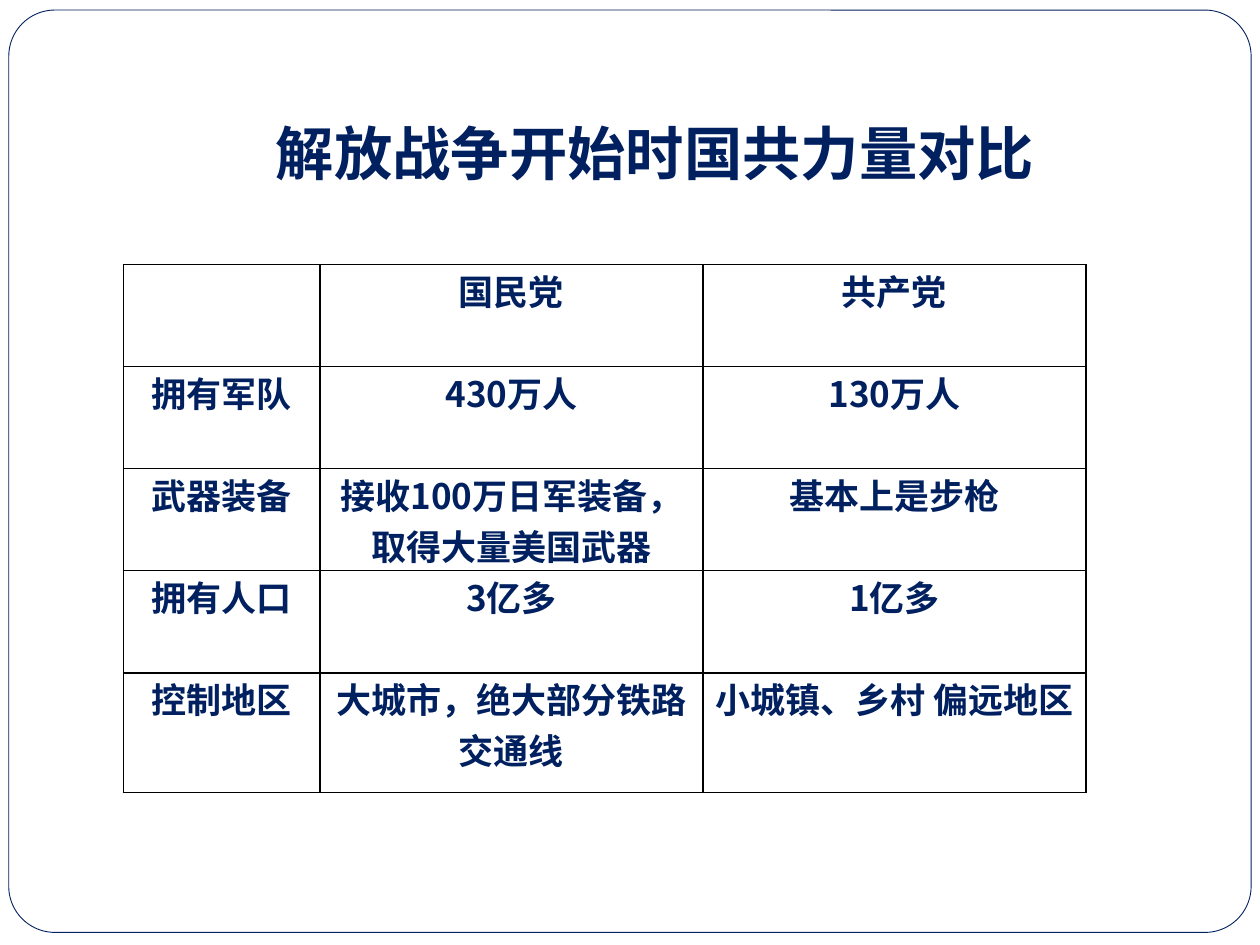
from lxml.etree import SubElement
from pptx import Presentation
from pptx.dml.color import RGBColor
from pptx.enum.shapes import MSO_SHAPE as SHAPE
from pptx.enum.text import PP_ALIGN as ALIGN
from pptx.oxml import parse_xml
from pptx.oxml.ns import nsdecls, qn
from pptx.util import Inches, Pt

NAVY = RGBColor(0x00, 0x20, 0x60)
WHITE = RGBColor(0xFF, 0xFF, 0xFF)
FONT = "Noto Sans CJK JP"

COLUMNS = [1.56, 3.04, 3.04]
ROWS = [0.81] * 4 + [0.95]
COMPARISON = [
    ["", "国民党", "共产党"],
    ["拥有军队", "430万人", "130万人"],
    ["武器装备", "接收100万日军装备，取得大量美国武器", "基本上是步枪"],
    ["拥有人口", "3亿多", "1亿多"],
    ["控制地区", "大城市，绝大部分铁路交通线", "小城镇、乡村 偏远地区"],
]


def style(p, size):
    font = p.font
    font.size, font.bold, font.name = Pt(size), True, FONT
    font.color.rgb = NAVY
    # East Asian text takes its typeface from a:ea
    SubElement(p._p.pPr.find(qn("a:defRPr")), qn("a:ea"), typeface=FONT)


def add_frame(slide, x, y, w, h):
    sp = slide.shapes.add_shape(
        SHAPE.ROUNDED_RECTANGLE, Inches(x), Inches(y), Inches(w), Inches(h))
    sp.adjustments[0] = 0.05
    sp.shadow.inherit = False
    sp.fill.solid()
    sp.fill.fore_color.rgb = WHITE
    sp.line.color.rgb = NAVY
    sp.line.width = Pt(0.5)


def add_title(slide, text, x, y, w, h):
    box = slide.shapes.add_textbox(Inches(x), Inches(y), Inches(w), Inches(h))
    tf = box.text_frame
    tf.word_wrap = True
    tf.margin_top = tf.margin_bottom = 0
    p = tf.paragraphs[0]
    p.text = text
    p.line_spacing = 0.9
    style(p, 33.3)


def add_borders(cell):
    tc_pr = cell._tc.get_or_add_tcPr()
    for i, side in enumerate(("lnL", "lnR", "lnT", "lnB")):
        tc_pr.insert(i, parse_xml(
            f'<a:{side} {nsdecls("a")} w="{Pt(1)}"><a:solidFill>'
            f'<a:srgbClr val="000000"/></a:solidFill></a:{side}>'))


def fill_cell(cell, text):
    cell.fill.solid()
    cell.fill.fore_color.rgb = WHITE
    add_borders(cell)
    cell.margin_left = cell.margin_right = Inches(0.07)
    cell.margin_top = cell.margin_bottom = 0
    p = cell.text_frame.paragraphs[0]
    p.text = text
    p.alignment = ALIGN.CENTER
    style(p, 20)


def add_comparison(slide, x, y):
    table = slide.shapes.add_table(
        len(ROWS), len(COLUMNS), Inches(x), Inches(y),
        Inches(sum(COLUMNS)), Inches(sum(ROWS))).table
    for column, width in zip(table.columns, COLUMNS):
        column.width = Inches(width)
    for row, height, texts in zip(table.rows, ROWS, COMPARISON):
        row.height = Inches(height)
        for cell, text in zip(row.cells, texts):
            fill_cell(cell, text)


def main():
    prs = Presentation()
    prs.slide_width, prs.slide_height = Inches(10), Inches(7.5)
    slide = prs.slides.add_slide(prs.slide_layouts[6])
    add_frame(slide, 0.07, 0.08, 9.86, 7.32)
    add_comparison(slide, 0.98, 2.1)
    add_title(slide, "解放战争开始时国共力量对比", 2.09, 0.99, 6.38, 0.64)
    prs.save("out.pptx")


if __name__ == "__main__":
    main()
